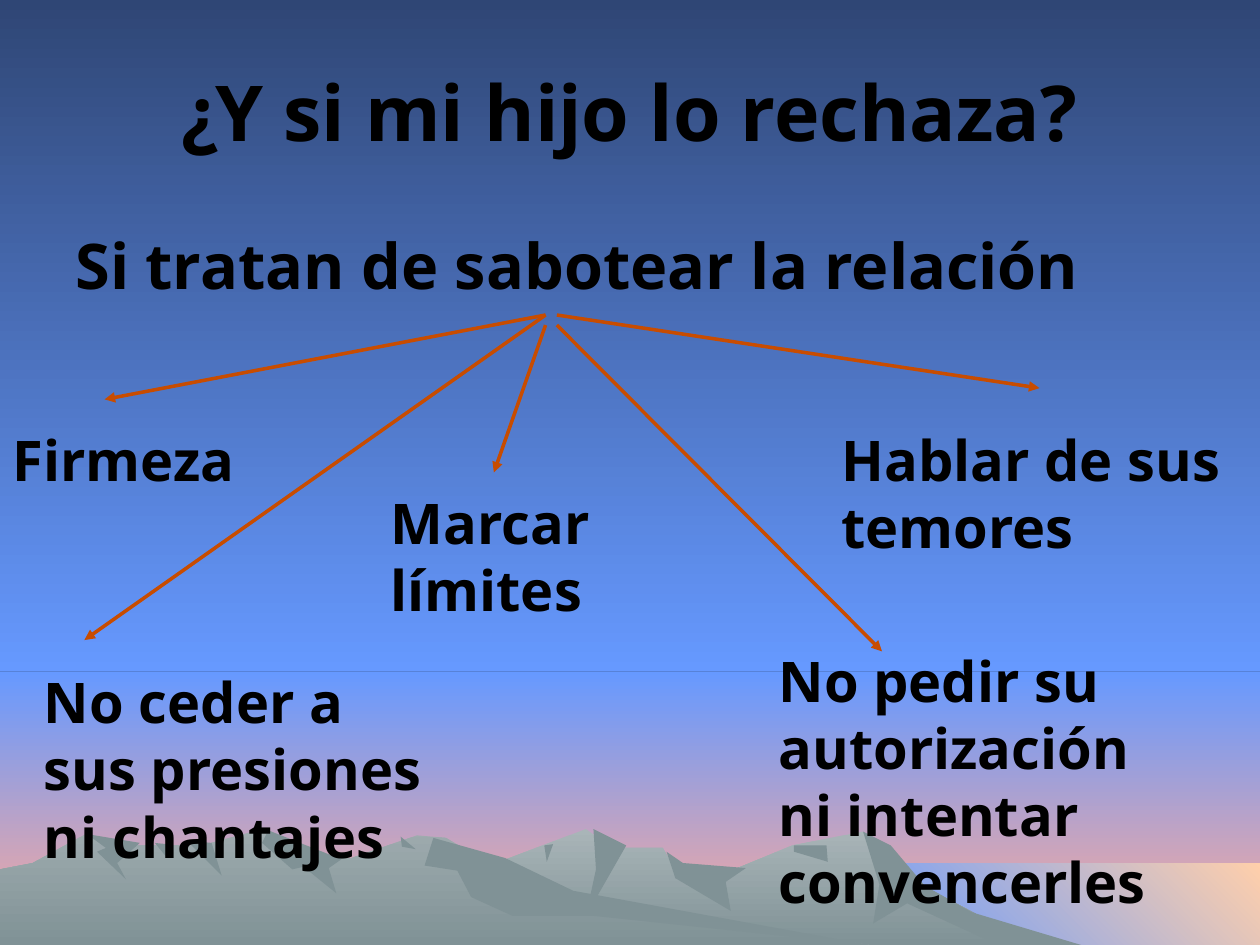
"""Build a slide on children's rejection, with five arrows over a mountain backdrop."""
from lxml import etree
from pptx import Presentation
from pptx.dml.color import RGBColor
from pptx.enum.shapes import MSO_CONNECTOR, MSO_SHAPE
from pptx.enum.text import MSO_ANCHOR, MSO_AUTO_SIZE, PP_ALIGN
from pptx.oxml.ns import qn
from pptx.util import Inches, Pt

RECTANGLE = MSO_SHAPE.RECTANGLE
STRAIGHT = MSO_CONNECTOR.STRAIGHT
TOP, MIDDLE = MSO_ANCHOR.TOP, MSO_ANCHOR.MIDDLE
LEFT, CENTER = PP_ALIGN.LEFT, PP_ALIGN.CENTER
GROW, FIXED = MSO_AUTO_SIZE.SHAPE_TO_FIT_TEXT, MSO_AUTO_SIZE.NONE

THEME = {
    "font": "Noto Sans", "text": "000000", "arrow": "C84C00", "arrow_width": 2,
    "title": 44, "lead": 36, "callout": 32,
    "sky": ("2F4675", "6699FF", 90), "dusk": ("6699FF", "FFAA99", 90),
    "sea": ("FFCFAB", "6699FF", 135), "peak": ("A9B5B8", "809296", 90),
    "range": ("9EABAE", "809296", 90), "shade": "809296",
}

TITLE = ("¿Y si mi hijo lo rechaza?", (0.5, 0.25, 9, 1.25))
LEAD = ("Si tratan de sabotear la relación", (0.5, 1.75, 9, 4.92))
CALLOUTS = [
    ("Firmeza", (0, 3.33, 3.33, 0.64), (4.33, 2.5), (0.83, 3.17)),
    ("No ceder a sus presiones ni chantajes", (0.25, 5.25, 3.25, 1.7), (4.33, 2.5), (0.67, 5.08)),
    ("Marcar límites", (3, 3.83, 2.25, 1.17), (4.33, 2.58), (3.92, 3.75)),
    ("Hablar de sus temores", (6.58, 3.33, 3.42, 1.17), (4.42, 2.5), (8.25, 3.08)),
    ("No pedir su autorización ni intentar convencerles", (6.08, 5.08, 3.42, 2.24),
     (4.42, 2.58), (7, 5.17)),
]
HORIZON, SHORE = 5.33, 6.85
WIDTH, HEIGHT = 10, 7.5
BANDS = [
    ("dusk", (0, HORIZON, WIDTH, HEIGHT - HORIZON)),
    ("sky", (0, 0, WIDTH, HORIZON)),
    ("sea", (6.83, SHORE, WIDTH - 6.83, HEIGHT - SHORE)),
]
UNIT = Inches(0.01)
MOUNTAINS = [
    ("peak", [(258, 750), (327, 709), (394, 685), (465, 658), (486, 673), (526, 673),
              (536, 690), (566, 697), (629, 671), (685, 660), (723, 698), (821, 750)]),
    ("shade", [(685, 660), (698, 702), (693, 733), (720, 717), (792, 750), (858, 750),
               (771, 724), (734, 703), (707, 671)]),
    ("shade", [(471, 658), (473, 690), (465, 727), (497, 671)]),
    ("shade", [(529, 676), (536, 697), (580, 723), (576, 700), (592, 689), (542, 685)]),
    ("shade", [(630, 671), (630, 676), (657, 684), (656, 671)]),
    ("shade", [(432, 671), (434, 684), (439, 670)]),
    ("range", [(0, 750), (0, 690), (26, 685), (68, 662), (94, 671), (160, 671), (208, 658),
               (236, 681), (279, 681), (331, 663), (354, 665), (432, 712), (690, 750)]),
    ("shade", [(213, 659), (208, 669), (232, 690), (241, 688), (267, 709), (261, 689),
               (271, 682)]),
    ("shade", [(344, 665), (337, 687), (363, 691), (374, 712), (407, 727), (472, 727),
               (690, 750), (455, 707), (401, 681)]),
    ("shade", [(318, 664), (319, 672), (330, 674)]),
    ("shade", [(148, 667), (176, 695), (168, 669)]),
    ("shade", [(123, 669), (132, 680), (133, 670)]),
    ("shade", [(69, 662), (84, 673), (77, 676), (100, 698), (93, 685), (111, 669)]),
]


def paint(fill, name):
    """Apply a solid theme colour or a two-stop theme gradient."""
    style = THEME[name]
    if isinstance(style, str):
        fill.solid()
        fill.fore_color.rgb = RGBColor.from_string(style)
        return
    start, end, angle = style
    fill.gradient()
    fill.gradient_angle = 360 - angle
    for stop, color, position in zip(fill.gradient_stops, (start, end), (0, 1)):
        stop.color.rgb = RGBColor.from_string(color)
        stop.position = position


def finish(shape, name):
    """Fill a scenery shape and remove its outline and shadow."""
    paint(shape.fill, name)
    shape.line.fill.background()
    shape.shadow.inherit = False


def add_mountain(page, name, points):
    """Draw a closed outline given in hundredths of an inch."""
    outline = page.shapes.build_freeform(*points[0], scale=UNIT)
    outline.add_line_segments(points[1:], close=True)
    finish(outline.convert_to_shape(), name)


def add_text(page, text, frame, size, align=LEFT, anchor=TOP, fit=FIXED):
    """Place one bold paragraph in a wrapping text box."""
    box = page.shapes.add_textbox(*map(Inches, frame))
    body = box.text_frame
    body.word_wrap = True
    body.auto_size = fit
    body.vertical_anchor = anchor
    para = body.paragraphs[0]
    para.alignment = align
    span = para.add_run()
    span.text = text
    span.font.name = THEME["font"]
    span.font.size = Pt(THEME[size])
    span.font.bold = True
    span.font.color.rgb = RGBColor.from_string(THEME["text"])


def add_arrow(page, start, end):
    """Draw a straight arrow with a triangular tip at its end."""
    arrow = page.shapes.add_connector(STRAIGHT, *map(Inches, start + end))
    arrow.line.width = Pt(THEME["arrow_width"])
    paint(arrow.line.fill, "arrow")
    properties = arrow.element.spPr
    etree.SubElement(properties.find(qn("a:ln")), qn("a:tailEnd"), type="triangle")
    etree.SubElement(properties, qn("a:effectLst"))


def main():
    """Assemble the slide and save it."""
    deck = Presentation()
    deck.slide_width, deck.slide_height = Inches(WIDTH), Inches(HEIGHT)
    page = deck.slides.add_slide(deck.slide_layouts[6])
    paint(page.background.fill, "sky")
    for name, frame in BANDS:
        finish(page.shapes.add_shape(RECTANGLE, *map(Inches, frame)), name)
    for name, points in MOUNTAINS:
        add_mountain(page, name, points)
    add_text(page, *TITLE, size="title", align=CENTER, anchor=MIDDLE)
    add_text(page, *LEAD, size="lead")
    for text, frame, start, end in CALLOUTS:
        add_arrow(page, start, end)
        add_text(page, text, frame, size="callout", fit=GROW)
    deck.save("out.pptx")


if __name__ == "__main__":
    main()
